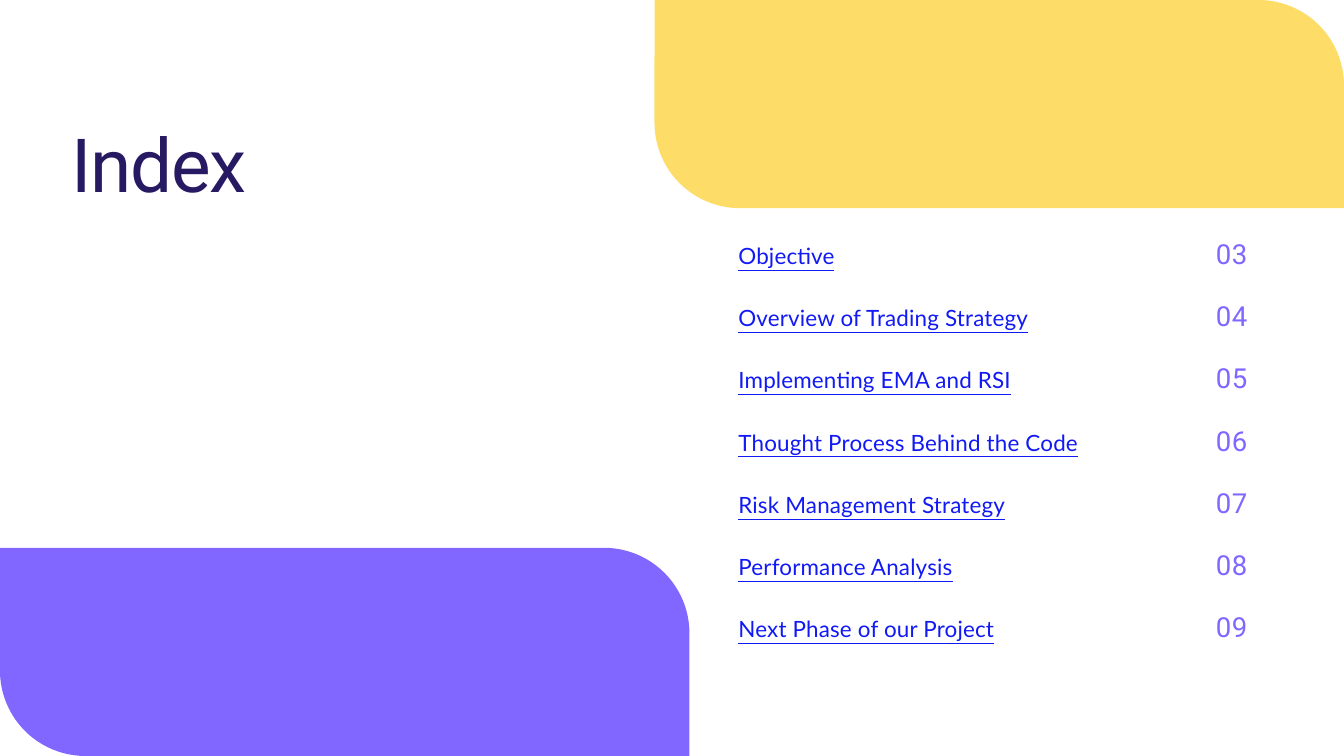
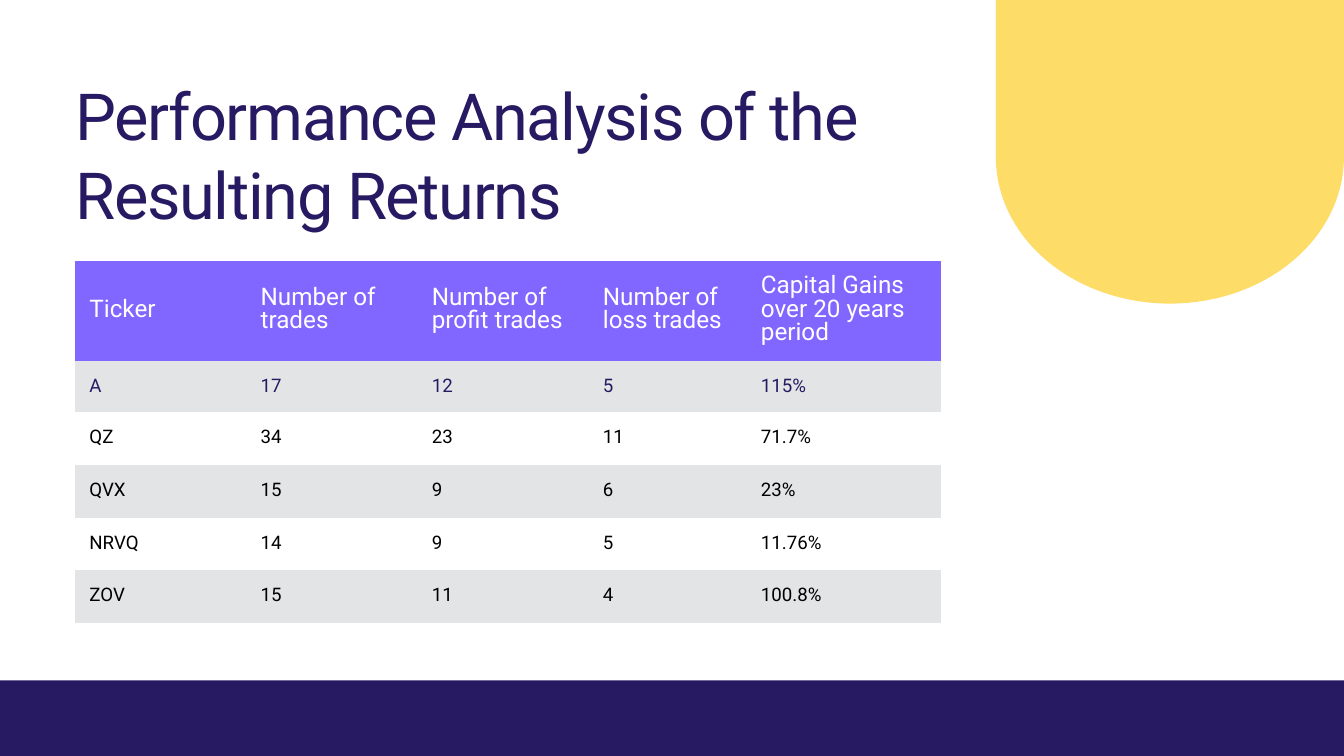
from math import cos, pi, sin

from lxml.etree import SubElement
from pptx import Presentation
from pptx.dml.color import RGBColor
from pptx.enum.shapes import MSO_SHAPE
from pptx.enum.text import MSO_ANCHOR, MSO_AUTO_SIZE, PP_ALIGN
from pptx.oxml.ns import qn
from pptx.util import Cm, Pt

# Content
INDEX_TITLE = "Index"
TOPICS = [
    "Objective",
    "Overview of Trading Strategy",
    "Implementing EMA and RSI",
    "Thought Process Behind the Code",
    "Risk Management Strategy",
    "Performance Analysis",
    "Next Phase of our Project",
]
FIRST_PAGE = 3

RETURNS_TITLE = "Performance Analysis of the Resulting Returns"
RETURNS_HEADER = [
    "Ticker",
    "Number of trades",
    "Number of profit trades",
    "Number of loss trades",
    "Capital Gains over 20 years period",
]
RETURNS = [
    ("A", "17", "12", "5", "115%"),
    ("QZ", "34", "23", "11", "71.7%"),
    ("QVX", "15", "9", "6", "23%"),
    ("NRVQ", "14", "9", "5", "11.76%"),
    ("ZOV", "15", "11", "4", "100.8%"),
]

# Shared look
COLORS = {
    "navy": "271A62",
    "purple": "8167FF",
    "yellow": "FDDC68",
    "link": "1119F5",
    "stripe": "E3E4E6",
    "white": "FFFFFF",
    "black": "000000",
}
SLIDE_W, SLIDE_H = 50.8, 28.58

# Text styles
TITLE = dict(size=80, color="navy", leading=96, spacing=-1.6)
LONG_TITLE = dict(size=69.5, color="navy", leading=84, spacing=-1.4)
TOPIC = dict(font="Lato", size=24, color="link", leading=37.9, spacing=0.2,
             underline=True)
PAGE = dict(size=29.5, color="purple", leading=42, spacing=0.6,
            align=PP_ALIGN.RIGHT)
HEADER = dict(size=26, color="white", leading=25.2)
FIGURE = dict(size=20, leading=21, align=PP_ALIGN.JUSTIFY)


def rgb(name):
    return RGBColor.from_string(COLORS[name])


def write(frame, text, size, color, leading, font="Roboto", spacing=0,
          underline=None, align=PP_ALIGN.LEFT):
    frame.word_wrap = True
    paragraph = frame.paragraphs[0]
    paragraph.alignment = align
    paragraph.line_spacing = Pt(leading)
    run = paragraph.add_run()
    run.text = text
    run.font.name = font
    run.font.size = Pt(size)
    run.font.color.rgb = rgb(color)
    run.font.underline = underline
    if spacing:
        run._r.get_or_add_rPr().set("spc", str(round(spacing * 100)))


def add_title(slide, text, left, top, width, height, style):
    box = slide.shapes.add_textbox(Cm(left), Cm(top), Cm(width), Cm(height))
    frame = box.text_frame
    frame.margin_left = frame.margin_right = 0
    frame.margin_top = frame.margin_bottom = 0
    frame.auto_size = MSO_AUTO_SIZE.SHAPE_TO_FIT_TEXT
    write(frame, text, **style)


def paint(shape, color):
    shape.shadow.inherit = False
    shape.fill.solid()
    shape.fill.fore_color.rgb = rgb(color)
    shape.line.fill.background()


def add_block(slide, kind, left, top, width, height, color):
    block = slide.shapes.add_shape(kind, Cm(left), Cm(top), Cm(width), Cm(height))
    paint(block, color)
    return block


def add_grid(slide, left, top, widths, heights):
    """Add a plain table with the given column widths and row heights."""
    grid = slide.shapes.add_table(
        len(heights), len(widths), Cm(left), Cm(top),
        Cm(sum(widths)), Cm(sum(heights))).table
    grid.first_row = grid.horz_banding = False
    for column, width in zip(grid.columns, widths):
        column.width = Cm(width)
    for row, height in zip(grid.rows, heights):
        row.height = Cm(height)
    return grid


def fill_cell(cell, text, margin, style, fill=None):
    cell.margin_left = cell.margin_right = Cm(margin)
    cell.margin_top = cell.margin_bottom = Cm(margin)
    cell.vertical_anchor = MSO_ANCHOR.MIDDLE
    # Borders come before the fill in the cell properties
    properties = cell._tc.get_or_add_tcPr()
    for side in ("a:lnL", "a:lnR", "a:lnT", "a:lnB"):
        SubElement(SubElement(properties, qn(side), w="0"), qn("a:noFill"))
    if fill:
        cell.fill.solid()
        cell.fill.fore_color.rgb = rgb(fill)
    else:
        cell.fill.background()
    write(cell.text_frame, text, **style)


def build_index(slide):
    # Two blocks with opposite rounded corners
    width, height, radius = 26.06, 7.87, 3.23
    for left, top, color in ((0, SLIDE_H - height, "purple"),
                             (SLIDE_W - width, 0, "yellow")):
        block = add_block(slide, MSO_SHAPE.ROUND_2_DIAG_RECTANGLE,
                          left, top, width, height, color)
        block.adjustments[0] = 0
        block.adjustments[1] = radius / height

    add_title(slide, INDEX_TITLE, 2.72, 4.47, 20.6, 3.38, TITLE)

    # Topics and their page numbers
    grid = add_grid(slide, 27.61, 8.33, [17.2, 2.64],
                    [16.48 / len(TOPICS)] * len(TOPICS))
    for row, topic in enumerate(TOPICS):
        fill_cell(grid.cell(row, 0), topic, 0.3, TOPIC)
        fill_cell(grid.cell(row, 1), f"{FIRST_PAGE + row:02}", 0.3, PAGE)


def build_returns(slide):
    # Arch: straight sides closed by half an ellipse
    width, side, depth, steps = 13.16, 5.94, 5.54, 60
    center = SLIDE_W - width / 2
    curve = [(Cm(center + width / 2 * cos(pi * i / steps)),
              Cm(side + depth * sin(pi * i / steps))) for i in range(steps + 1)]
    outline = slide.shapes.build_freeform(Cm(SLIDE_W - width), 0)
    outline.add_line_segments([(Cm(SLIDE_W), 0)] + curve, close=True)
    paint(outline.convert_to_shape(), "yellow")

    # Footer band
    band = 2.86
    add_block(slide, MSO_SHAPE.RECTANGLE, 0, SLIDE_H - band, SLIDE_W, band, "navy")

    add_title(slide, RETURNS_TITLE, 2.85, 2.85, 30.7, 6, LONG_TITLE)

    # Striped table, with the leading ticker in navy
    grid = add_grid(slide, 2.85, 9.88, [6.47, 6.47, 6.47, 5.97, 7.32],
                    [3.78, 1.93] + [1.99] * (len(RETURNS) - 1))
    for column, heading in enumerate(RETURNS_HEADER):
        fill_cell(grid.cell(0, column), heading, 0.53, HEADER, "purple")
    for row, figures in enumerate(RETURNS, 1):
        style = dict(FIGURE, color="navy" if row == 1 else "black")
        for column, figure in enumerate(figures):
            fill_cell(grid.cell(row, column), figure, 0.53, style,
                      "stripe" if row % 2 else "white")


def main():
    deck = Presentation()
    deck.slide_width, deck.slide_height = Cm(SLIDE_W), Cm(SLIDE_H)
    for build in (build_index, build_returns):
        build(deck.slides.add_slide(deck.slide_layouts[6]))
    deck.save("out.pptx")


if __name__ == "__main__":
    main()
